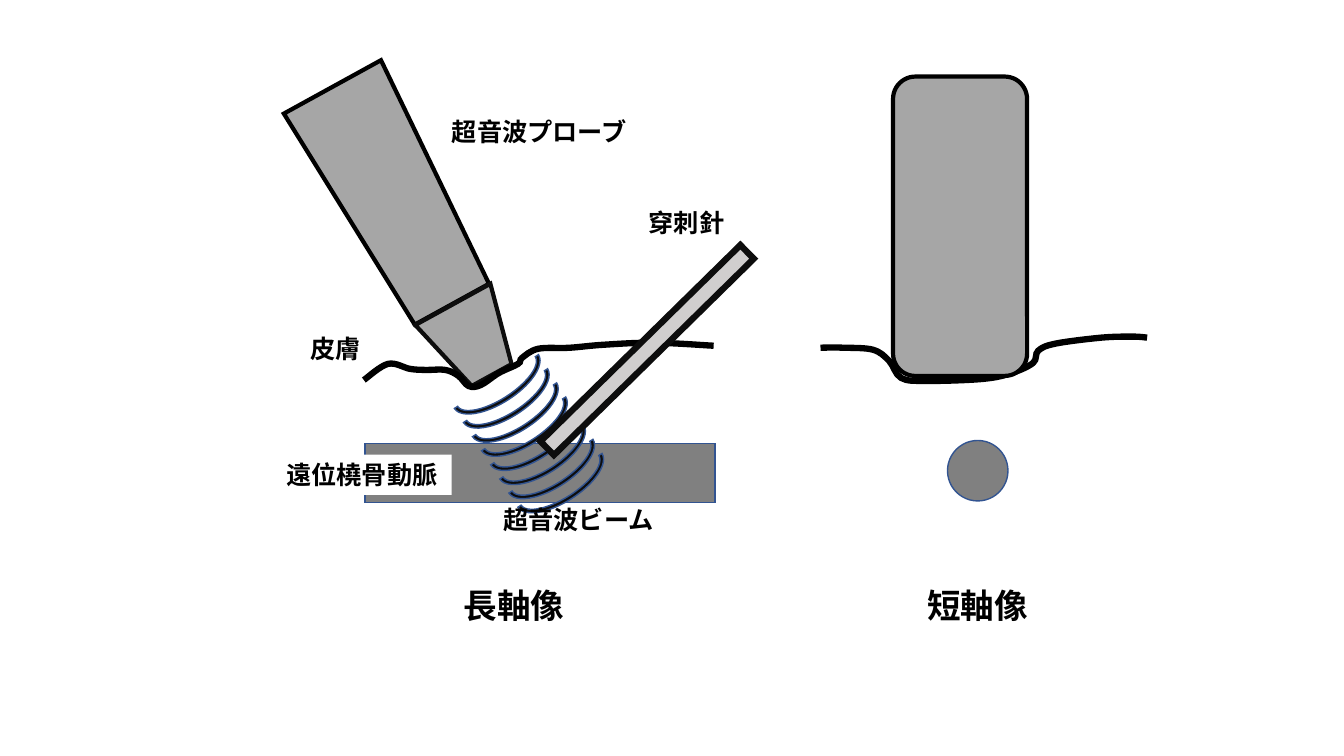
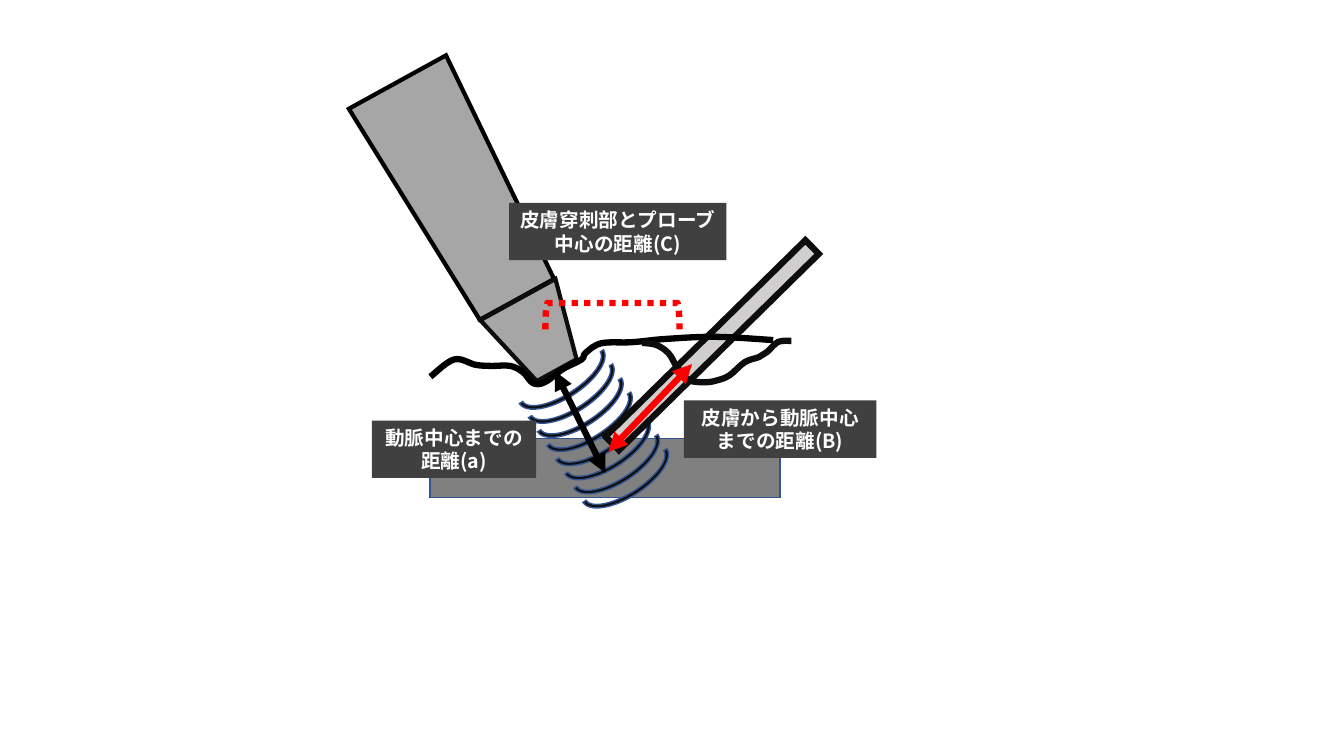
from dataclasses import dataclass

from lxml.etree import SubElement
from pptx import Presentation
from pptx.dml.color import RGBColor
from pptx.enum.dml import MSO_LINE
from pptx.enum.shapes import MSO_CONNECTOR, MSO_SHAPE
from pptx.enum.text import MSO_ANCHOR, PP_ALIGN
from pptx.oxml.ns import qn
from pptx.util import Inches, Pt

CELL = Inches(0.1)
COLUMNS, ROWS = 133.33, 75
FONT = "Noto Sans CJK JP"
COLORS = {
    "black": "000000",
    "ink": "0D0D0D",
    "white": "FFFFFF",
    "probe": "A6A6A6",
    "artery": "808080",
    "outline": "325491",
    "needle": "D0CECE",
    "note": "404040",
    "red": "FF0000",
}
LONG_SKIN = [
    (0, 3.7), (2.4, 2.1), (4.6, 2.6), (6.2, 2.7), (8.1, 2.7), (9.4, 3.3),
    (10.4, 4.3), (11.6, 4.2), (13.4, 3), (15.3, 2.1), (15.7, 1.5),
    (17.3, 0.6), (20.4, 0.5), (23.8, 0.2), (28.8, 0), (34.7, 0.3),
]
SHORT_SKIN = [
    (0, 1.1), (2.2, 1.1), (5.2, 1.3), (6.8, 2.4), (8, 4.1), (10.5, 4.4),
    (16.1, 4.2), (19, 3.6), (21.1, 2.6), (21.6, 1.4), (23.3, 0.7),
    (27.9, 0.1), (31, 0), (32.4, 0.1),
]
PUNCTURED_SKIN = [
    (0, 0.3), (1.4, 0.5), (2.6, 1.3), (3.4, 2.6), (4.3, 3.7), (4.9, 4.1),
    (6.4, 4.2), (7.5, 4), (8.7, 3.5), (10.2, 2.2), (11.6, 1.7),
    (12.4, 1.2), (13.5, 0.2), (14.8, 0.1),
]


@dataclass
class Box:
    left: float
    top: float
    width: float
    height: float

    def inside(self, left, top, width=0, height=0):
        return Box(self.left + left, self.top + top, width, height)

    def lengths(self):
        sides = (self.left, self.top, self.width, self.height)
        return [round(side * CELL) for side in sides]


def color(name):
    return RGBColor.from_string(COLORS[name])


def style_line(line, name, weight, dash=None):
    line.color.rgb = color(name)
    line.width = Pt(weight)
    if dash:
        line.dash_style = dash
    SubElement(line._get_or_add_ln(), qn("a:miter"), lim="800000")


def add_figure(page, kind, box, fill=None, line=None, weight=1, rotation=0,
               adjustments=None, dash=None):
    shape = page.shapes.add_shape(kind, *box.lengths())
    shape.shadow.inherit = False
    shape.rotation = rotation
    for index, value in (adjustments or {}).items():
        shape.adjustments[index] = value
    if fill:
        shape.fill.solid()
        shape.fill.fore_color.rgb = color(fill)
    else:
        shape.fill.background()
    if line:
        style_line(shape.line, line, weight, dash)
    else:
        shape.line.fill.background()
    return shape


def add_text(page, text, box, size=18, ink="black", fill=None):
    if fill:
        shape = add_figure(page, MSO_SHAPE.RECTANGLE, box, fill)
    else:
        shape = page.shapes.add_textbox(*box.lengths())
    frame = shape.text_frame
    frame.word_wrap = True
    frame.vertical_anchor = MSO_ANCHOR.MIDDLE
    for index, words in enumerate(text.split("\n")):
        para = frame.add_paragraph() if index else frame.paragraphs[0]
        para.alignment = PP_ALIGN.CENTER
        span = para.add_run()
        span.text = words
        span.font.name = FONT
        span.font.size = Pt(size)
        span.font.bold = True
        span.font.color.rgb = color(ink)
        SubElement(span.font._element, qn("a:ea"), typeface=FONT)


def add_arrow(page, start, end, line):
    ends = [round(value * CELL) for value in (*start, *end)]
    arrow = page.shapes.add_connector(MSO_CONNECTOR.STRAIGHT, *ends)
    style_line(arrow.line, line, 4.5)
    for tag in ("a:headEnd", "a:tailEnd"):
        SubElement(arrow.line._get_or_add_ln(), qn(tag), type="triangle")
    SubElement(arrow._element.spPr, qn("a:effectLst"))


def bezier_points(points):
    padded = [points[0], *points, points[-1]]
    result = [points[0]]
    for before, start, end, after in zip(padded, padded[1:], padded[2:], padded[3:]):
        result.append(tuple(s + (e - b) / 6 for b, s, e in zip(before, start, end)))
        result.append(tuple(e - (a - s) / 6 for s, e, a in zip(start, end, after)))
        result.append(end)
    return result


def bend_segments(curve):
    segments = list(curve._element.iter(qn("a:lnTo")))
    outline = segments[0].getparent()
    for first in range(0, len(segments), 3):
        bend = SubElement(outline, qn("a:cubicBezTo"))
        for segment in segments[first:first + 3]:
            bend.append(segment[0])
            outline.remove(segment)


def add_curve(page, points, box, stretch=(1, 1), line="black"):
    places = [
        (round((box.left + x * stretch[0]) * CELL),
         round((box.top + y * stretch[1]) * CELL))
        for x, y in bezier_points(points)
    ]
    builder = page.shapes.build_freeform(*places[0])
    builder.add_line_segments(places[1:], close=False)
    curve = builder.convert_to_shape()
    bend_segments(curve)
    curve.shadow.inherit = False
    curve.fill.background()
    style_line(curve.line, line, 4.5)


def add_probe_and_artery(page, box):
    add_figure(page, MSO_SHAPE.RECTANGLE, box.inside(10, 40, 34.75, 5.85),
               "artery", "outline")
    add_figure(page, MSO_SHAPE.TRAPEZOID, box.inside(7.2, 3.1, 11, 24.6),
               "probe", "black", 3, 151.2, {0: 0.118})
    add_figure(page, MSO_SHAPE.TRAPEZOID, box.inside(16.4, 25.7, 8.5, 8),
               "probe", "ink", 3, 151.2)
    for wave in reversed(range(8)):
        place = box.inside(18.1 + 0.9 * wave, 31.7 + 1.4 * wave, 9.9, 4.3)
        add_figure(page, MSO_SHAPE.BLOCK_ARC, place, "ink", "outline",
                   rotation=147.4, adjustments={0: 108, 1: 0, 2: 0.088})


def add_needle(page, box):
    add_figure(page, MSO_SHAPE.RECTANGLE, box.inside(37.05, 16.83, 1.9, 27.8),
               "needle", "ink", 4.5, 45.5)


def add_long_axis(page, box):
    add_probe_and_artery(page, box)
    add_curve(page, LONG_SKIN, box.inside(9.9, 30))
    add_text(page, "超音波プローブ", box.inside(16.6, 7, 21.4, 4))
    add_text(page, "皮膚", box.inside(-3.6, 28.55, 21.4, 4))
    add_text(page, "超音波ビーム", box.inside(21.35, 45.55, 19.7, 4))
    add_text(page, "遠位橈骨動脈", box.inside(0.8, 41.1, 17.8, 4), fill="white")
    add_needle(page, box)
    add_text(page, "穿刺針", box.inside(31.2, 16.1, 21.4, 4))


def add_short_axis(page, box):
    add_figure(page, MSO_SHAPE.OVAL, box.inside(12.6, 39.7, 6, 6),
               "artery", "outline")
    add_curve(page, SHORT_SKIN, box.inside(0, 29.4))
    add_figure(page, MSO_SHAPE.ROUNDED_RECTANGLE, box.inside(7.2, 3.6, 13.3, 29.7),
               "probe", "black", 3)


def add_axis_names(page, box):
    add_text(page, "短軸像", box.inside(46, 0, 21.4, 5), size=24)
    add_text(page, "長軸像", box.inside(0, 0, 21.4, 5), size=24)


def add_distances(page, box):
    note = {"size": 14, "ink": "white", "fill": "note"}
    add_probe_and_artery(page, box)
    add_arrow(page, (box.left + 22.4, box.top + 33.3),
              (box.left + 27.4, box.top + 43.4), "black")
    add_text(page, "動脈中心までの\n距離(a)", box.inside(4.25, 38.2, 16.3, 5.7), **note)
    add_needle(page, box)
    add_curve(page, LONG_SKIN, box.inside(10.05, 29.9), stretch=(0.98, 1.07))
    add_curve(page, PUNCTURED_SKIN, box.inside(31.05, 30.2), line="ink")
    add_arrow(page, (box.left + 36, box.top + 32.6),
              (box.left + 27.7, box.top + 41.3), "red")
    add_text(page, "皮膚から動脈中心までの距離(B)",
             box.inside(35.2, 36.2, 19.1, 5.7), **note)
    add_figure(page, MSO_SHAPE.LEFT_BRACKET, box.inside(26.8, 21.2, 2.6, 13.3),
               line="red", weight=4.5, rotation=90, dash=MSO_LINE.ROUND_DOT)
    add_text(page, "皮膚穿刺部とプローブ中心の距離(C)",
             box.inside(17.87, 16.6, 21.55, 5.7), **note)


def main():
    deck = Presentation()
    deck.slide_width = round(COLUMNS * CELL)
    deck.slide_height = ROWS * CELL
    blank = deck.slide_layouts[6]
    axes = deck.slides.add_slide(blank)
    add_long_axis(axes, Box(26.2, 4, 50, 50))
    add_axis_names(axes, Box(40.3, 57.5, 67.4, 5))
    add_short_axis(axes, Box(81.4, 4, 32.4, 46))
    distances = deck.slides.add_slide(blank)
    add_distances(distances, Box(32.65, 3.52, 55, 50))
    deck.save("out.pptx")


if __name__ == "__main__":
    main()
